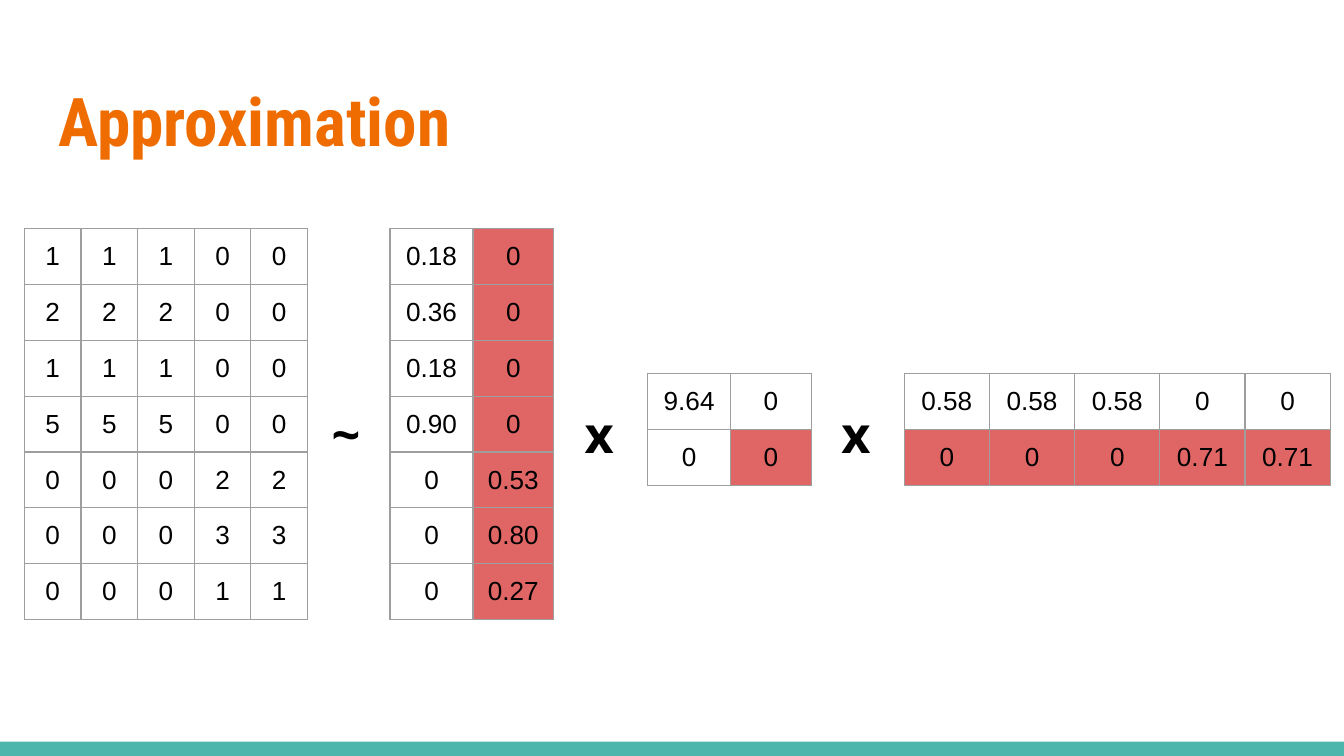
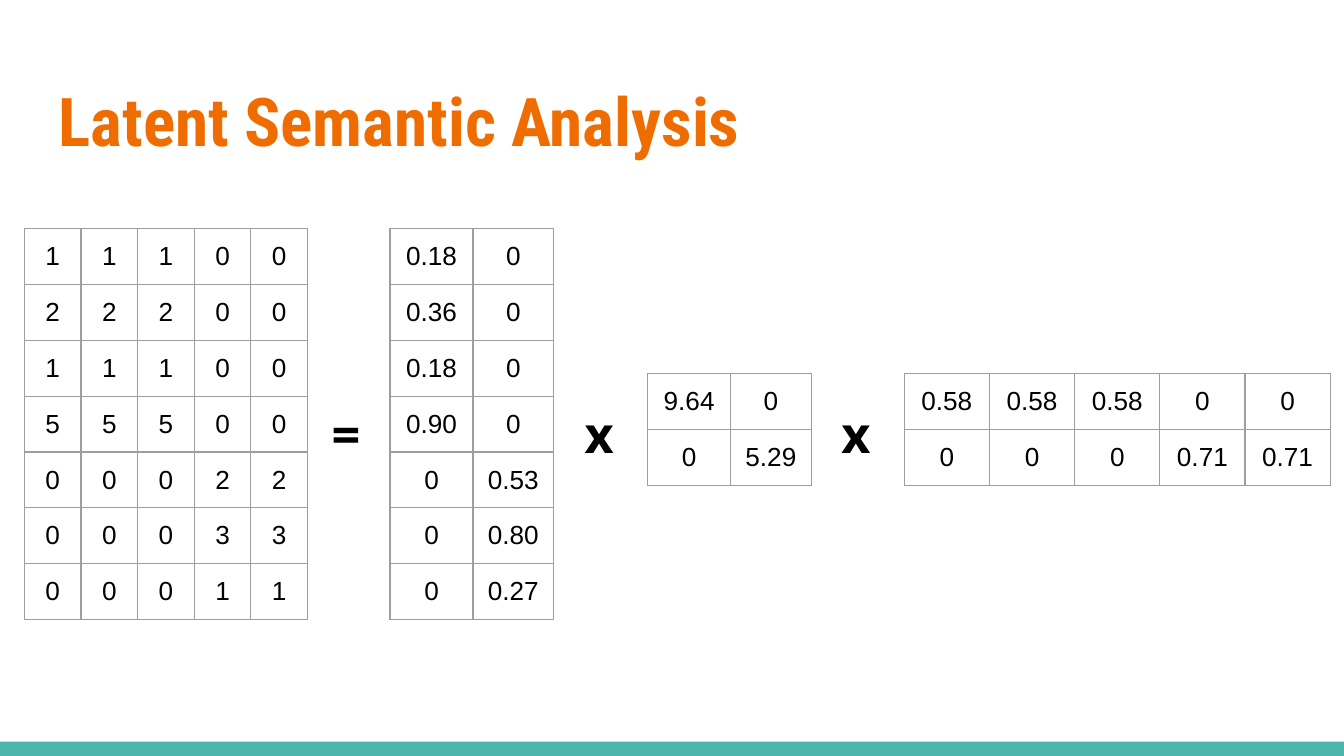
from lxml.etree import SubElement
from pptx import Presentation
from pptx.dml.color import RGBColor
from pptx.enum.shapes import MSO_SHAPE
from pptx.enum.text import MSO_ANCHOR, MSO_AUTO_SIZE, PP_ALIGN
from pptx.oxml.ns import qn
from pptx.util import Cm, Pt

ORANGE, TEAL, RED = "EF6C00", "4DB6AC", "E06666"
BLACK, GREY = "000000", "9E9E9E"
INSET = Cm(0.25)

# Factors of the decomposition
DOCUMENT_TERMS = [
    "1 1 1 0 0", "2 2 2 0 0", "1 1 1 0 0", "5 5 5 0 0",
    "0 0 0 2 2", "0 0 0 3 3", "0 0 0 1 1",
]
DOCUMENT_TOPICS = ["0.18 0", "0.36 0", "0.18 0", "0.90 0", "0 0.53", "0 0.80", "0 0.27"]
TOPIC_TERMS = ["0.58 0.58 0.58 0 0", "0 0 0 0.71 0.71"]

# Layout in centimetres
TALL_TOP, SHORT_TOP, OPERATOR_TOP = 4.32, 7.06, 7.37
TOPIC_WIDTHS = [1.57, 1.52]


def color(value):
    return RGBColor.from_string(value)


class Deck:
    def __init__(self):
        self.presentation = Presentation()
        self.presentation.slide_width = Cm(25.4)
        self.presentation.slide_height = Cm(14.29)
        self.slide = None

    def add_slide(self, title):
        first = self.slide is None
        self.slide = self.presentation.slides.add_slide(self.presentation.slide_layouts[5])
        if first:
            self.add_master_band()
        shape = self.slide.shapes.title
        shape.left, shape.top, shape.width, shape.height = Cm(0.86), Cm(1.24), Cm(23.67), Cm(1.96)
        self.set_text(shape.text_frame, title, "Roboto Condensed", 36, ORANGE)

    def add_master_band(self):
        """Draw the bottom band and move it to the master, so all slides share it."""
        band = self.slide.shapes.add_shape(
            MSO_SHAPE.RECTANGLE, 0, Cm(14.02), Cm(25.4), Cm(0.27))
        band.shadow.inherit = False
        band.fill.solid()
        band.fill.fore_color.rgb = color(TEAL)
        band.line.fill.background()
        band.element.xpath(".//p:cNvPr")[0].set("id", "20")
        self.presentation.slide_master.shapes.element.append(band.element)

    def set_text(self, frame, text, font, size, text_color):
        frame.text = text
        frame.word_wrap = True
        frame.auto_size = MSO_AUTO_SIZE.NONE
        frame.vertical_anchor = MSO_ANCHOR.TOP
        frame.margin_left = frame.margin_right = INSET
        frame.margin_top = frame.margin_bottom = INSET
        frame.paragraphs[0].alignment = PP_ALIGN.LEFT
        self.style_run(frame.paragraphs[0], font, size, text_color, True)

    def style_run(self, paragraph, font, size, text_color, bold):
        run_font = paragraph.runs[0].font
        run_font.name, run_font.size, run_font.bold = font, Pt(size), bold
        run_font.color.rgb = color(text_color)

    def add_operator(self, symbol, left):
        shape = self.slide.shapes.add_textbox(Cm(left), Cm(OPERATOR_TOP), Cm(1.12), Cm(1.55))
        self.set_text(shape.text_frame, symbol, "Open Sans", 27, BLACK)

    def add_matrix(self, lines, left, top, widths, is_dropped):
        values = [line.split() for line in lines]
        frame = self.slide.shapes.add_table(
            len(values), len(widths), Cm(left), Cm(top), Cm(8.33), Cm(8.33))
        table = frame.table
        table.first_row = table.horz_banding = False
        for column, width in zip(table.columns, widths):
            column.width = Cm(width)
        for row in table.rows:
            row.height = Cm(0.53)  # minimum; rows grow to fit their text
        frame.width = frame.height = Cm(8.33)
        for i, row_values in enumerate(values):
            for j, value in enumerate(row_values):
                self.fill_cell(table.cell(i, j), value, is_dropped(i, j))

    def fill_cell(self, cell, value, dropped):
        cell.text_frame.text = value
        cell.vertical_anchor = MSO_ANCHOR.MIDDLE
        cell.margin_left = cell.margin_right = INSET
        cell.margin_top = cell.margin_bottom = INSET
        paragraph = cell.text_frame.paragraphs[0]
        paragraph.alignment = PP_ALIGN.CENTER
        self.style_run(paragraph, "Arial", 14, BLACK, False)
        # Borders come before the fill in the cell properties
        properties = cell._tc.get_or_add_tcPr()
        for side in ("a:lnL", "a:lnR", "a:lnT", "a:lnB"):
            border = SubElement(properties, qn(side), w=str(Pt(0.75)))
            fill = SubElement(border, qn("a:solidFill"))
            SubElement(fill, qn("a:srgbClr"), val=GREY)
        if dropped:
            cell.fill.solid()
            cell.fill.fore_color.rgb = color(RED)
        else:
            cell.fill.background()

    def add_decomposition(self, title, relation, second_strength, drop_second):
        """Show matrix = documents x strengths x terms, marking the dropped topic."""
        self.add_slide(title)
        strengths = ["9.64 0", f"0 {second_strength}"]
        self.add_matrix(DOCUMENT_TERMS, 0.46, TALL_TOP, [1.07] * 5, lambda i, j: False)
        self.add_operator(relation, 6.02)
        self.add_matrix(DOCUMENT_TOPICS, 7.37, TALL_TOP, TOPIC_WIDTHS,
                        lambda i, j: drop_second and j == 1)
        self.add_operator("x", 10.8)
        self.add_matrix(strengths, 12.24, SHORT_TOP, TOPIC_WIDTHS,
                        lambda i, j: drop_second and i == j == 1)
        self.add_operator("x", 15.65)
        self.add_matrix(TOPIC_TERMS, 17.09, SHORT_TOP, [1.61] * 5,
                        lambda i, j: drop_second and i == 1)


def main():
    deck = Deck()
    deck.add_decomposition("Approximation", "~", "0", True)
    deck.add_decomposition("Latent Semantic Analysis", "=", "5.29", False)
    deck.presentation.save("out.pptx")


if __name__ == "__main__":
    main()
